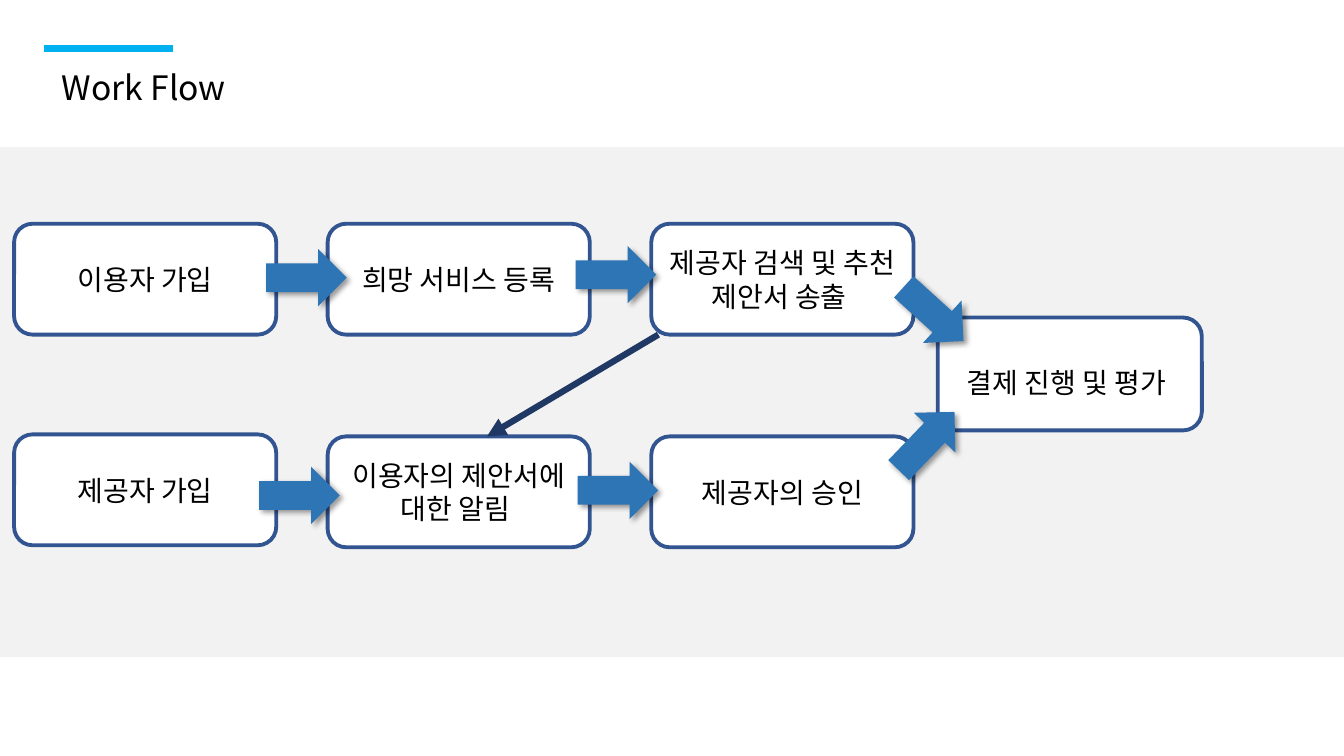
from pptx import Presentation
from pptx.dml.color import RGBColor
from pptx.enum.shapes import MSO_CONNECTOR, MSO_SHAPE
from pptx.enum.text import MSO_ANCHOR, MSO_AUTO_SIZE, PP_ALIGN
from pptx.oxml import parse_xml
from pptx.oxml.ns import nsdecls, qn
from pptx.util import Inches, Pt

RECT, ROUND = MSO_SHAPE.RECTANGLE, MSO_SHAPE.ROUNDED_RECTANGLE
ARROW, LINE = MSO_SHAPE.RIGHT_ARROW, MSO_CONNECTOR.STRAIGHT
CENTER, LEFT = PP_ALIGN.CENTER, PP_ALIGN.LEFT
MIDDLE, TOP = MSO_ANCHOR.MIDDLE, MSO_ANCHOR.TOP
FONT = "Noto Sans CJK KR"

# Content
TITLE = "Work Flow"
COLS = [0.14, 3.25, 6.46]
BOX_W, BOX_H = 2.6, 1.1
ROWS = [
    ([2.22, 2.22, 2.22],
     ["이용자 가입", "희망 서비스 등록", "제공자 검색 및 추천 \n제안서 송출 "]),
    ([4.31, 4.33, 4.33],
     ["제공자 가입", "이용자의 제안서에 대한 알림 ", "제공자의 승인"]),
]
FINAL = ("결제 진행 및 평가 ", 9.3, 3.15, 2.62, 1.12)
ARROW_W, ARROW_H = 0.8, 0.57
ARROWS = [  # left, top, rotation
    (2.64, 2.47, 0), (5.71, 2.44, 0), (5.73, 4.58, 0),
    (2.57, 4.63, 0), (8.86, 2.83, 42.2), (8.79, 4.09, 313.8),
]
SHADOW = (
    f'<a:outerShdw {nsdecls("a")} blurRad="{Pt(4)}" dist="{Pt(3)}" '
    'dir="2700000" algn="tl" rotWithShape="0"><a:srgbClr val="000000">'
    '<a:alpha val="40000"/></a:srgbClr></a:outerShdw>'
)


def color(code):
    return RGBColor.from_string(code)


def write(frame, text, size, align, anchor, gap=None):
    frame.text = text
    frame.word_wrap = True
    frame.vertical_anchor = anchor
    for par in frame.paragraphs:
        par.alignment = align
        if gap:
            par.line_spacing = gap
        for run in par.runs:
            run.font.name = FONT
            run.font.size = Pt(size)
            run.font.color.rgb = color("000000")
            run.font.fill.solid()
            run.font.color.rgb = color("000000")
            east = parse_xml(f'<a:ea {nsdecls("a")} typeface="{FONT}"/>')
            run.font.element.find(qn("a:latin")).addnext(east) if hasattr(
                run.font, "element") else run._r.rPr.find(
                qn("a:latin")).addnext(east)


def shape(kind, x, y, w, h, fill, edge=None):
    item = slide.shapes.add_shape(kind, *map(Inches, (x, y, w, h)))
    item.shadow.inherit = False
    item.fill.solid()
    item.fill.fore_color.rgb = color(fill)
    if edge:
        item.line.color.rgb = color(edge)
        item.line.width = Pt(2.75)
    else:
        item.line.fill.background()
    return item


def box(text, x, y, w, h, gap=None):
    item = shape(ROUND, x, y, w, h, "FFFFFF", "325491")
    write(item.text_frame, text, 20, CENTER, MIDDLE, gap)


def line(start, end, code, width, tip=False):
    item = slide.shapes.add_connector(LINE, *map(Inches, start + end))
    item.line.color.rgb = color(code)
    item.line.width = Pt(width)
    props = item.element.spPr
    if tip:
        props.find(qn("a:ln")).append(
            parse_xml(f'<a:tailEnd {nsdecls("a")} type="triangle"/>'))
    props.append(parse_xml(f'<a:effectLst {nsdecls("a")}/>'))


deck = Presentation()
deck.slide_width, deck.slide_height = Inches(13.33), Inches(7.5)
slide = deck.slides.add_slide(deck.slide_layouts[5])

# Title and band
shape(RECT, 0, 1.46, 13.33, 5.06, "F2F2F2")
line((0.44, 0.48), (1.72, 0.48), "00B0F0", 5)
title = slide.shapes.title
title.left, title.top = Inches(0.51), Inches(0.61)
title.width, title.height = Inches(4.51), Inches(0.5)
write(title.text_frame, TITLE, 24, LEFT, TOP)
title.text_frame.auto_size = MSO_AUTO_SIZE.SHAPE_TO_FIT_TEXT

# Steps
for tops, texts in ROWS:
    for x, y, text in zip(COLS, tops, texts):
        box(text, x, y, BOX_W, BOX_H)
box(*FINAL, gap=1.5)

# Block arrows
for x, y, turn in ARROWS:
    arrow = shape(ARROW, x, y, ARROW_W, ARROW_H, "2E75B6")
    arrow.rotation = turn
    arrow.element.spPr.find(qn("a:effectLst")).append(parse_xml(SHADOW))

# Notice from proposal to provider
line((6.53, 3.32), (4.83, 4.33), "203864", 4.5, tip=True)

deck.save("out.pptx")
